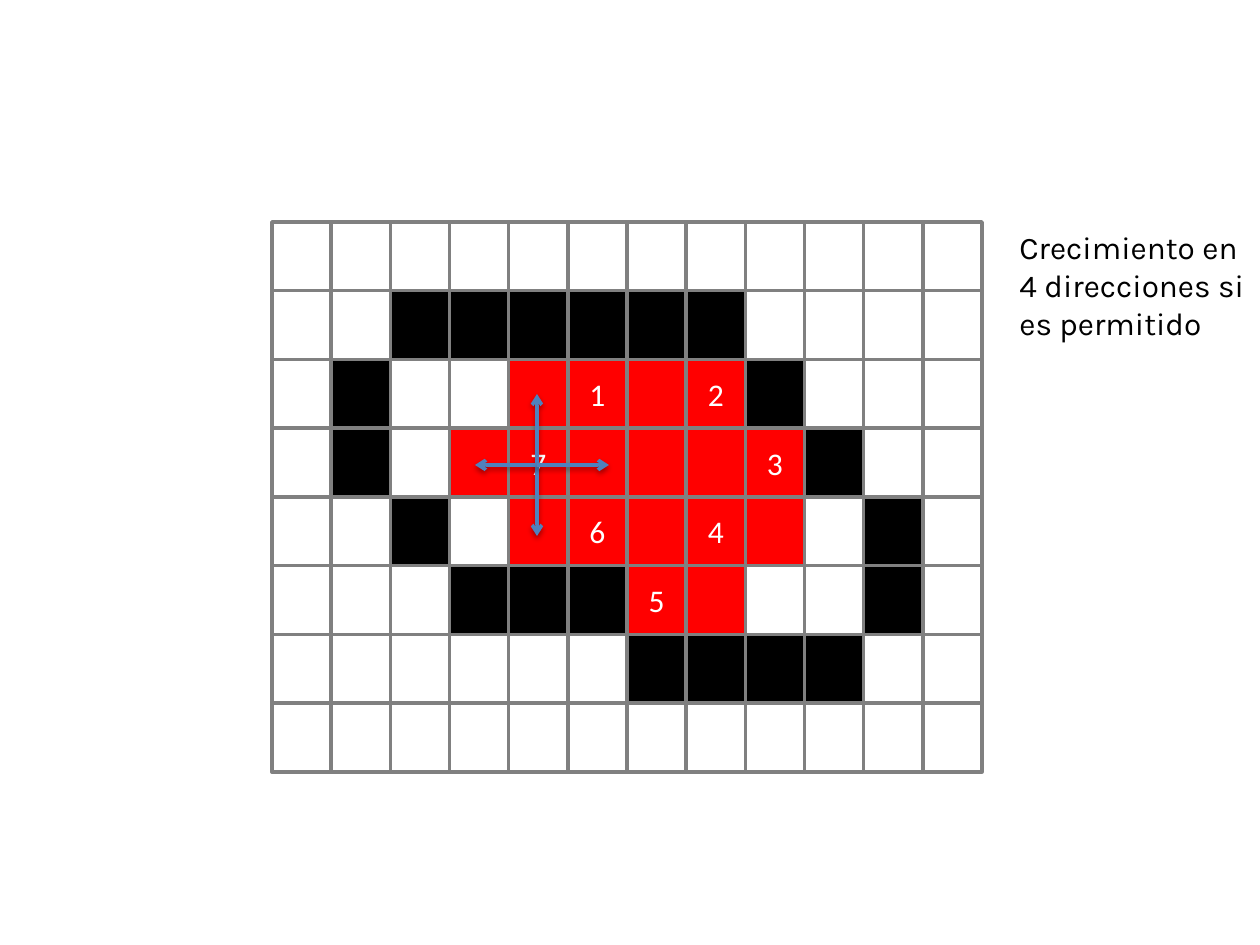
from pptx import Presentation
from pptx.dml.color import RGBColor
from pptx.enum.shapes import MSO_CONNECTOR, MSO_SHAPE
from pptx.enum.text import MSO_ANCHOR, MSO_AUTO_SIZE, PP_ALIGN
from pptx.oxml import parse_xml
from pptx.oxml.ns import nsdecls
from pptx.util import Emu, Pt

RECTANGLE = MSO_SHAPE.RECTANGLE
STRAIGHT = MSO_CONNECTOR.STRAIGHT
MIDDLE = MSO_ANCHOR.MIDDLE
CENTER = PP_ALIGN.CENTER
FIT_SHAPE = MSO_AUTO_SIZE.SHAPE_TO_FIT_TEXT
BLANK_LAYOUT = 6
EMU_PER_PX = 914400 / 126

WALL, REGION, EMPTY = "#", "r", "."
PIXEL_ROWS = [
    "............",
    "..######....",
    ".#..r1r2#...",
    ".#.r7rrr3#..",
    "..#.r6r4r.#.",
    "...###5r..#.",
    "......####..",
    "............",
]
SHADOW_XML = (
    f'<a:effectLst {nsdecls("a")}>'
    '<a:outerShdw blurRad="40000" dist="20000" dir="5400000" rotWithShape="0">'
    '<a:srgbClr val="000000"><a:alpha val="38000"/></a:srgbClr>'
    "</a:outerShdw></a:effectLst>"
)


def px(length):
    """Turn px into EMU."""
    return Emu(round(length * EMU_PER_PX))


def color(value):
    """Turn a hex string into a colour."""
    return RGBColor.from_string(value)


def write_text(text_frame, text, font_name, font_color):
    """Write one 18 pt paragraph and return it."""
    text_frame.text = text
    paragraph = text_frame.paragraphs[0]
    font = paragraph.runs[0].font
    font.name, font.size = font_name, Pt(18)
    font.color.rgb = color(font_color)
    return paragraph


def add_cell(slide, left, top, width, height, mark):
    """Add one pixel cell, filled and labelled according to its mark."""
    cell = slide.shapes.add_shape(
        RECTANGLE, px(left), px(top), px(width), px(height)
    )
    cell.shadow.inherit = False
    cell.line.color.rgb = color("808080")
    cell.line.width = Pt(2)
    if mark == EMPTY:
        cell.fill.background()
    else:
        cell.fill.solid()
        cell.fill.fore_color.rgb = color("000000" if mark == WALL else "FF0000")
    if mark.isdigit():
        cell.text_frame.vertical_anchor = MIDDLE
        paragraph = write_text(cell.text_frame, mark, "Calibri", "FFFFFF")
        paragraph.alignment = CENTER


def add_pixel_grid(slide, left, top, width, height):
    """Divide the box evenly into the cells of the pixel map."""
    cell_width = width / len(PIXEL_ROWS[0])
    cell_height = height / len(PIXEL_ROWS)
    for row, marks in enumerate(PIXEL_ROWS):
        for column, mark in enumerate(marks):
            add_cell(slide, left + column * cell_width, top + row * cell_height,
                     cell_width, cell_height, mark)


def add_growth_arrows(slide, center_x, center_y):
    """Add the group of four arrows that leave the seed cell."""
    group = slide.shapes.add_group_shape()
    for reach_x, reach_y in [(0, -71), (0, 71), (-62, 0), (72, 0)]:
        arrow = group.shapes.add_connector(
            STRAIGHT, px(center_x), px(center_y),
            px(center_x + reach_x), px(center_y + reach_y),
        )
        arrow.line.color.rgb = color("4F81BD")
        arrow.line.width = Pt(2)
        properties = arrow._element.spPr
        properties.get_or_add_ln().append(
            parse_xml(f'<a:tailEnd {nsdecls("a")} type="arrow"/>')
        )
        properties.append(parse_xml(SHADOW_XML))


def add_caption(slide, left, top, width, height):
    """Add the explanation beside the grid."""
    caption = slide.shapes.add_textbox(px(left), px(top), px(width), px(height))
    text_frame = caption.text_frame
    text_frame.word_wrap = True
    text_frame.auto_size = FIT_SHAPE
    write_text(text_frame, "Crecimiento en 4 direcciones si es permitido",
               "Karla", "000000")


def main():
    """Build and save the region growing slide."""
    presentation = Presentation()
    presentation.slide_width, presentation.slide_height = px(1260), px(945)
    slide = presentation.slides.add_slide(
        presentation.slide_layouts[BLANK_LAYOUT]
    )
    add_pixel_grid(slide, 272, 222, 710, 550)
    add_growth_arrows(slide, 537, 465)
    add_caption(slide, 1007, 222, 253, 127)
    presentation.save("out.pptx")


if __name__ == "__main__":
    main()
